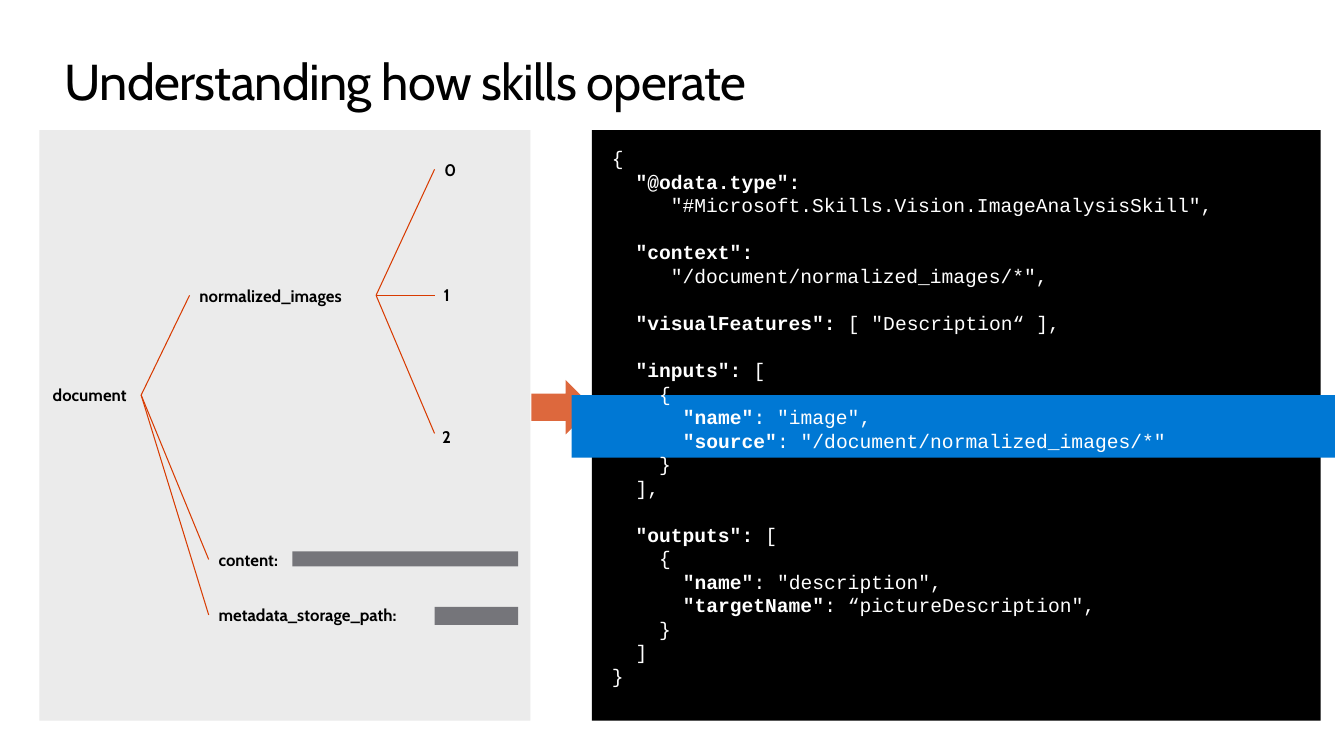
from lxml import etree
from pptx import Presentation
from pptx import util as u
from pptx.dml.color import RGBColor
from pptx.enum import shapes, text
from pptx.oxml.ns import qn

SLIDE_W, SLIDE_H = u.Inches(13.33), u.Inches(7.5)
CELL = SLIDE_H / 75  # square grid, 75 rows high

BLACK, WHITE = "000000", "FFFFFF"
PANEL, BAR, BRANCH = "EBEBEB", "75757A", "D83B01"
ARROW, HIGHLIGHT = "DD683D", "0078D4"
CODE_PANEL = (58.7, 12.9, 72.3, 58.6)
LINE_HEIGHT = u.Pt(16.8)

SKILL = """{
  "@odata.type":
     "#Microsoft.Skills.Vision.ImageAnalysisSkill",

  "context":
     "/document/normalized_images/*",

  "visualFeatures": [ "Description“ ],

  "inputs": [
    {
      "name": "image",
      "source": "/document/normalized_images/*"
    }
  ],

  "outputs": [
    {
      "name": "description",
      "targetName": “pictureDescription",
    }
  ]
}"""


def cells(*counts):
    return [round(count * CELL) for count in counts]


def color(code):
    return RGBColor.from_string(code)


def style(run, font, size, code, bold=False):
    run.font.name = font
    run.font.size = u.Pt(size)
    run.font.bold = bold
    run.font.color.rgb = color(code)


def add_block(slide, kind, box, fill):
    block = slide.shapes.add_shape(kind, *cells(*box))
    block.shadow.inherit = False
    block.fill.solid()
    block.fill.fore_color.rgb = color(fill)
    block.line.fill.background()


def add_branch(slide, parent, child):
    branch = slide.shapes.add_connector(
        shapes.MSO_CONNECTOR.STRAIGHT, *cells(*parent, *child))
    branch.line.color.rgb = color(BRANCH)
    branch.line.width = u.Pt(0.75)
    etree.SubElement(branch._element.spPr, qn("a:effectLst"))


def add_frame(slide, box, margin_x, margin_y):
    """Add a wrapping text box and return its text frame."""
    frame = slide.shapes.add_textbox(*cells(*box)).text_frame
    frame.word_wrap = True
    frame.margin_left = frame.margin_right = u.Inches(margin_x)
    frame.margin_top = frame.margin_bottom = u.Inches(margin_y)
    return frame


def add_title(slide, wording):
    frame = add_frame(slide, (6.4, 5, 120.5, 6.1), 0, 0)
    frame.text = wording
    run = frame.paragraphs[0].runs[0]
    style(run, "Cabin", 36, BLACK)
    run.font._element.set("spc", "-50")


def add_label(slide, name, left, middle, width, centered=False):
    frame = add_frame(slide, (left, middle - 1.5, width, 3), 0.1, 0.05)
    frame.word_wrap = not centered
    frame.vertical_anchor = text.MSO_ANCHOR.MIDDLE
    frame.text = name
    label = frame.paragraphs[0]
    if centered:
        label.alignment = text.PP_ALIGN.CENTER
    style(label.runs[0], "Cabin", 12, BLACK, bold=True)


def split_key(line):
    """Return the parts of a code line as (wording, bold) pairs."""
    key, colon, value = line.partition('":')
    if not colon:
        return [(line, False)]
    indent = line[:len(line) - len(line.lstrip())]
    name = key.lstrip() + '"'
    if len(indent) > 2:
        parts = [(indent, False), (name, True), (":" + value, False)]
    else:
        parts = [(indent, False), (name + ":", True), (value, False)]
    return [part for part in parts if part[0]]


def add_code(slide, source):
    frame = add_frame(slide, CODE_PANEL, 0.2, 0.16)
    for index, section in enumerate(source.split("\n\n")):
        for row, line in enumerate(section.split("\n")):
            first = index == row == 0
            paragraph = frame.paragraphs[0] if first else frame.add_paragraph()
            paragraph.line_spacing = LINE_HEIGHT
            if index and row == 0:
                paragraph.space_before = LINE_HEIGHT
            for wording, bold in split_key(line):
                run = paragraph.add_run()
                run.text = wording
                style(run, "Courier New", 14, WHITE, bold)


def add_document_tree(slide):
    document, images = (14, 39.2), (37.3, 29.3)
    add_label(slide, "document", 3.9, 39.2, 10, centered=True)
    for name, left, middle, width in (
            ("normalized_images", 18.8, 29.3, 17.1),
            ("content:", 20.7, 55.5, 14.6),
            ("metadata_storage_path:", 20.7, 61, 22.1)):
        add_branch(slide, document, (left, middle))
        add_label(slide, name, left, middle, width)
    for name, left, middle, branch_end in (
            ("0", 43.1, 16.8, 16.8),
            ("1", 42.8, 29.2, 29.3),
            ("2", 42.8, 43.3, 43)):
        add_branch(slide, images, (43.1, branch_end))
        add_label(slide, name, left, middle, 3, centered=True)


def main():
    deck = Presentation()
    deck.slide_width, deck.slide_height = SLIDE_W, SLIDE_H
    slide = deck.slides.add_slide(deck.slide_layouts[6])
    rectangle = shapes.MSO_SHAPE.RECTANGLE

    add_block(slide, shapes.MSO_SHAPE.RIGHT_ARROW, (52.7, 37.7, 6.1, 5.4), ARROW)
    add_block(slide, rectangle, CODE_PANEL, BLACK)
    add_block(slide, rectangle, (3.9, 12.9, 48.7, 58.6), PANEL)
    add_title(slide, "Understanding how skills operate")
    add_document_tree(slide)
    for value_bar in ((29, 54.7, 22.4, 1.5), (43.1, 60.2, 8.3, 1.8)):
        add_block(slide, rectangle, value_bar, BAR)
    add_block(slide, rectangle, (56.7, 39.2, 75.7, 6.2), HIGHLIGHT)
    add_code(slide, SKILL)

    deck.save("out.pptx")


if __name__ == "__main__":
    main()
